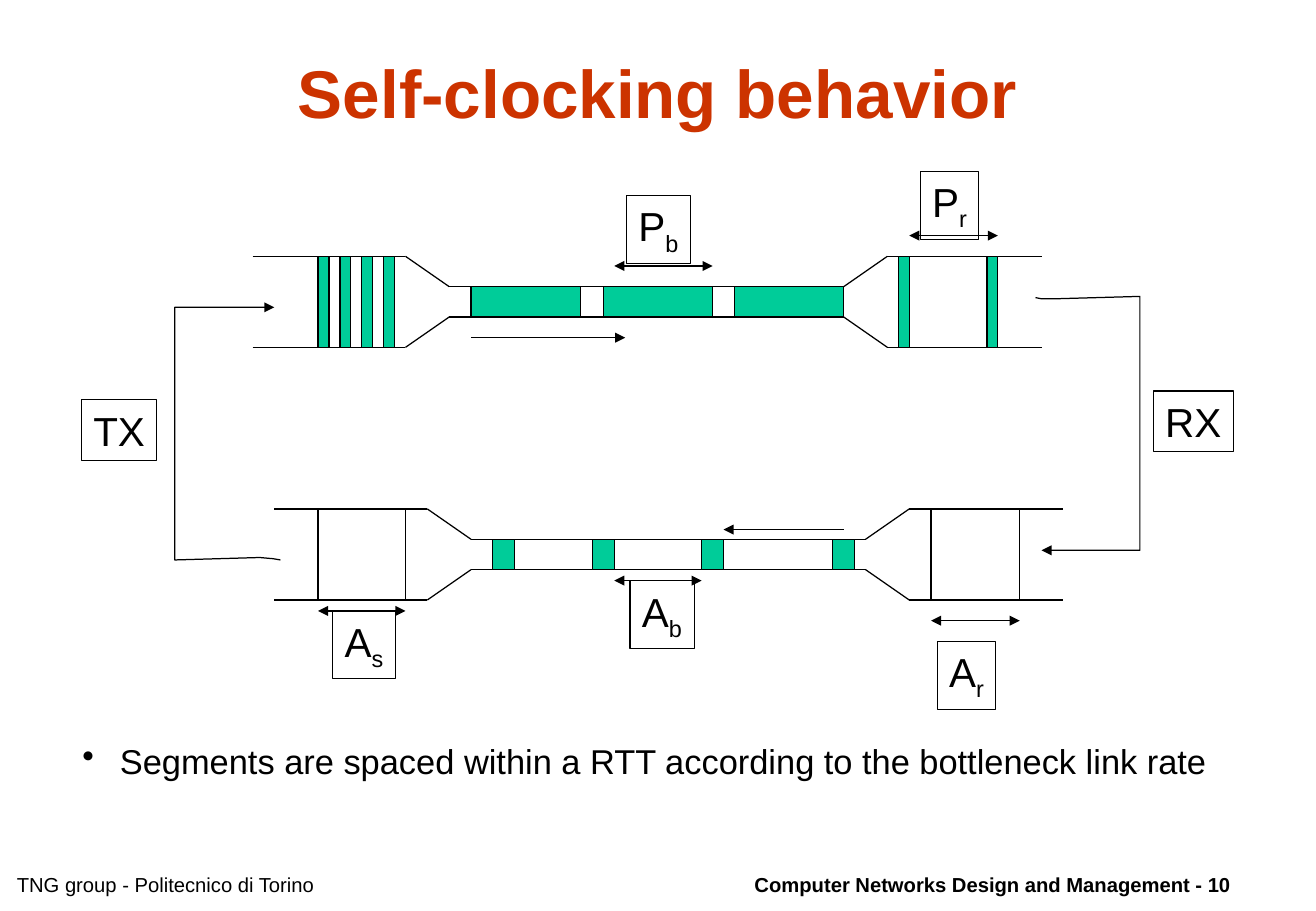
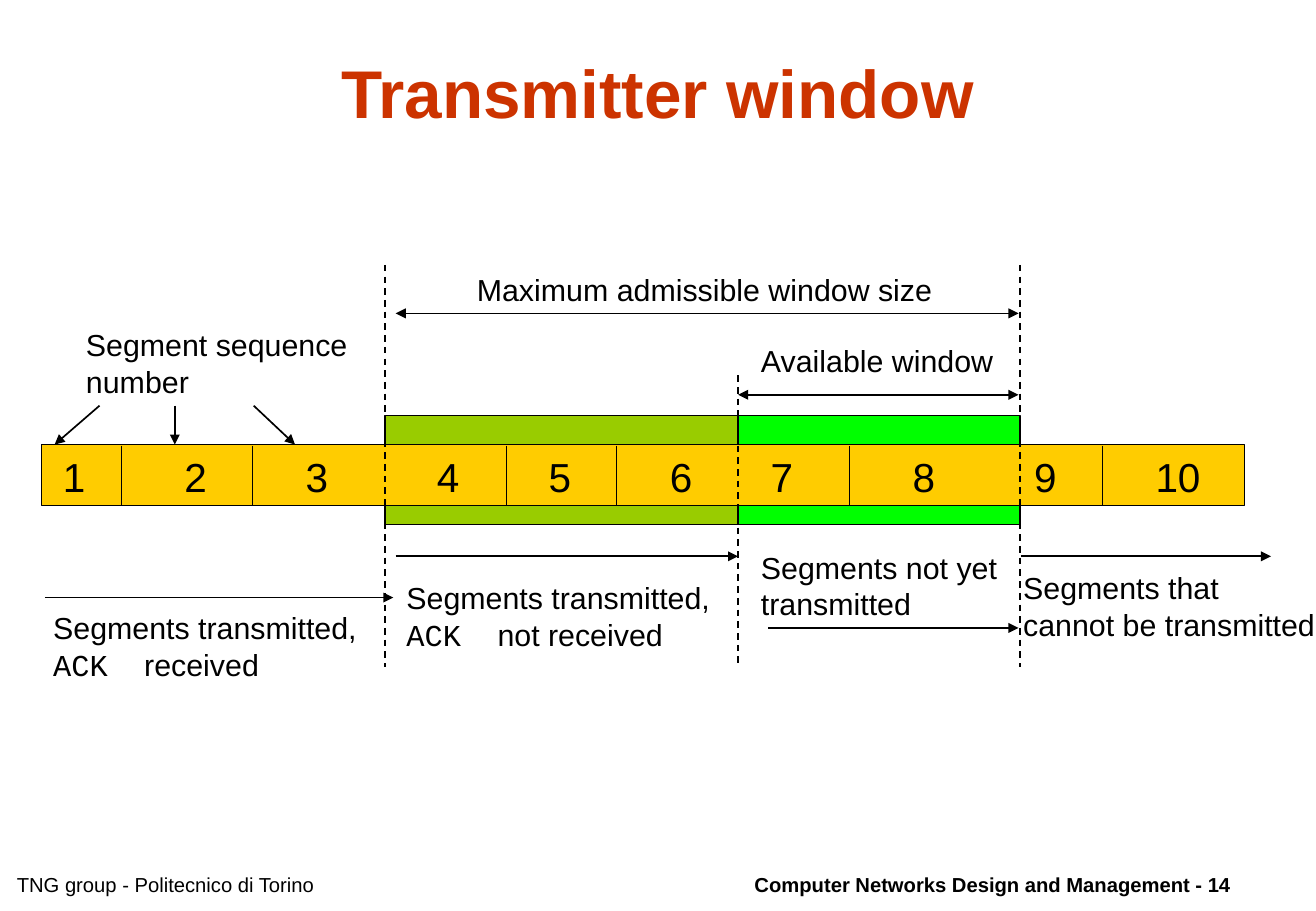
import itertools

import lxml.etree
import pptx
import pptx.dml.color
import pptx.enum.dml
import pptx.enum.shapes
import pptx.enum.text
import pptx.oxml.ns
import pptx.util

PX = 9144  # EMU in one px, 100 px to the inch
WIDE, HIGH = 1084, 750
FONT, MONO = "Arial", "Courier New"
COLOR = {
    "ink": "000000", "title": "CC3300", "packet": "00CC99",
    "free": "00FF00", "sent": "99CC00", "strip": "FFCC00",
}
ALIGN = pptx.enum.text.PP_ALIGN
THIN, BOLD = 0.75, 1

TITLE_BOX = (81, 25, 921, 100)
GROUP = "TNG group - Politecnico di Torino"
COURSE = "Computer Networks Design and Management - "

# Self-clocking behavior
PIPES = [(208, 211), (226, 419)]
WALL = [(0, 0), (126, 0), (162, 25), (487, 25), (523, 0), (650, 0)]
PIPE_H = 75
PACKETS = [  # lefts, top, width, height
    ([262, 280, 298, 316, 740, 813], 211, 9, 75),
    ([388, 497, 605], 236, 90, 25),
    ([406, 488, 578, 686], 444, 18, 25),
]
ACKS = [262, 334, 767, 840]
SPANS = [
    (749, 194, 822, 194), (506, 219, 587, 219), (767, 511, 840, 511),
    (506, 478, 578, 478), (262, 503, 334, 503),
]
FLOWS = [(388, 278, 515, 278), (695, 436, 596, 436)]
LOOPS = [
    [(853, 245), (858, 246), (869, 246), (939, 244), (939, 453), (858, 453)],
    [(231, 461), (225, 460), (214, 459), (144, 461), (144, 253), (226, 253)],
]
LABELS = [  # text, subscript, box
    ("P", "r", (758, 141, 48, 56)), ("P", "b", (516, 161, 53, 56)),
    ("A", "r", (772, 528, 48, 56)), ("A", "b", (519, 478, 53, 56)),
    ("A", "s", (274, 503, 52, 56)),
    ("RX", "", (950, 322, 66, 50)), ("TX", "", (67, 329, 62, 50)),
]
POINT = "Segments are spaced within a RTT according to the bottleneck link rate"

# Transmitter window
BANDS = [
    ("free", (605, 342, 235, 90), BOLD), ("sent", (317, 342, 291, 90), BOLD),
    ("strip", (34, 366, 991, 50), THIN),
]
NUMBERS = "\t".join(str(n) for n in range(1, 11))
STOPS = [100, 200, 308, 400, 500, 583, 700, 800, 900]
CELLS = [100, 208, 417, 508, 700, 908]
EDGES = [(317, 218), (608, 309), (840, 218)]
EDGE_END = 549
ARROWS = [
    (37, 492, 324, 492), (326, 458, 608, 458), (633, 517, 839, 517),
    (841, 458, 1047, 458), (82, 334, 45, 366), (144, 334, 144, 366),
    (209, 334, 243, 366),
]
WINDOWS = [(608, 325, 839, 325), (326, 258, 839, 258)]
NOTES = [  # paragraphs of runs, box
    ([["Segment sequence"], ["number"]], (61, 264, 242, 70)),
    ([["Segments transmitted,"], [("ACK", MONO), "\treceived"]],
     (34, 497, 277, 70)),
    ([["Segments transmitted,"], [("ACK", MONO), "\tnot received"]],
     (325, 472, 277, 70)),
    ([["Segments not yet"], ["transmitted"]], (617, 447, 221, 70)),
    ([["Segments that"], ["cannot be transmitted"]], (833, 464, 251, 70)),
    ([["Maximum admissible window size"]], (383, 218, 395, 40)),
    ([["Available window"]], (617, 277, 212, 40)),
]
NOTE_STOP = 75


def emu(vals):
    return [v * PX for v in vals]


def rgb(name):
    return pptx.dml.color.RGBColor.from_string(COLOR[name])


def sub(node, tag, **attrs):
    return lxml.etree.SubElement(node, pptx.oxml.ns.qn(tag), **attrs)


def ink(line, width):
    line.color.rgb = rgb("ink")
    line.width = pptx.util.Pt(width)


def tips(line, both=False):
    """Put an arrowhead at the end, or at both ends."""
    node = line._get_or_add_ln()
    if both:
        sub(node, "a:headEnd", type="triangle")
    sub(node, "a:tailEnd", type="triangle")


def write(para, text, size, font=FONT, color="ink", bold=False):
    run = para.add_run()
    run.text = text
    run.font.size = pptx.util.Pt(size)
    run.font.name = font
    run.font.bold = bold
    run.font.color.rgb = rgb(color)
    return run


def set_tabs(para, stops):
    tabs = sub(para._p.get_or_add_pPr(), "a:tabLst")
    for stop in stops:
        sub(tabs, "a:tab", pos=str(stop * PX), algn="l")


def add_box(slide, box, wrap=False):
    """Add a text box; one that does not wrap has spare room at the right."""
    shape = slide.shapes.add_textbox(*emu(box))
    frame = shape.text_frame
    frame.word_wrap = wrap
    if not wrap:
        frame.margin_right = 0
    return shape, frame.paragraphs[0]


def add_rect(slide, box, color, width=THIN):
    kind = pptx.enum.shapes.MSO_SHAPE.RECTANGLE
    shape = slide.shapes.add_shape(kind, *emu(box))
    shape.shadow.inherit = False
    shape.fill.solid()
    shape.fill.fore_color.rgb = rgb(color)
    ink(shape.line, width)


def add_line(slide, ends, width=THIN):
    kind = pptx.enum.shapes.MSO_CONNECTOR.STRAIGHT
    link = slide.shapes.add_connector(kind, *emu(ends))
    ink(link.line, width)
    sub(link._element.spPr, "a:effectLst")
    return link.line


def add_loop(slide, points):
    pen = slide.shapes.build_freeform(*points[0], scale=PX)
    pen.add_line_segments(points[1:], close=False)
    shape = pen.convert_to_shape()
    shape.shadow.inherit = False
    shape.fill.background()
    ink(shape.line, THIN)
    tips(shape.line)


def add_pipe(slide, left, top):
    upper = [(left + x, top + y) for x, y in WALL]
    lower = [(left + x, top + PIPE_H - y) for x, y in WALL]
    for wall in (upper, lower):
        for a, b in itertools.pairwise(wall):
            add_line(slide, a + b)


def add_page(deck, title, number):
    """Add a slide with the shared title style and footers."""
    slide = deck.slides.add_slide(deck.slide_layouts[5])
    head = slide.shapes.title
    head.left, head.top, head.width, head.height = emu(TITLE_BOX)
    frame = head.text_frame
    frame.vertical_anchor = pptx.enum.text.MSO_ANCHOR.MIDDLE
    para = frame.paragraphs[0]
    para.alignment = ALIGN.CENTER
    write(para, title, 40, color="title", bold=True)
    feet = [(4, GROUP, ALIGN.LEFT, False),
            (577, COURSE + str(number), ALIGN.RIGHT, True)]
    for left, text, align, bold in feet:
        para = add_box(slide, (left, 713, 447, 30), wrap=True)[1]
        para.alignment = align
        write(para, text, 12, bold=bold)
    return slide


def draw_clock(deck):
    slide = add_page(deck, "Self-clocking behavior", 10)
    for spot in PIPES:
        add_pipe(slide, *spot)
    for lefts, top, width, height in PACKETS:
        for left in lefts:
            add_rect(slide, (left, top, width, height), "packet")
    top = PIPES[1][1]
    for x in ACKS:
        add_line(slide, (x, top, x, top + PIPE_H))
    for ends in SPANS:
        tips(add_line(slide, ends), both=True)
    for ends in FLOWS:
        tips(add_line(slide, ends))
    for points in LOOPS:
        add_loop(slide, points)
    for text, low, box in LABELS:
        shape, para = add_box(slide, box)
        ink(shape.line, THIN)
        write(para, text, 24)
        if low:
            run = write(para, low, 24)
            run._r.get_or_add_rPr().set("baseline", "-25000")
    para = add_box(slide, (58, 604, 993, 56), wrap=True)[1]
    para.space_before = pptx.util.Pt(9)
    props = para._p.get_or_add_pPr()
    props.set("marL", str(31 * PX))
    props.set("indent", str(-31 * PX))
    sub(props, "a:buChar", char="•")
    write(para, POINT, 20.4)


def draw_window(deck):
    slide = add_page(deck, "Transmitter window", 14)
    for color, box, width in BANDS:
        add_rect(slide, box, color, width)
    for x in CELLS:
        add_line(slide, (x, 367, x, 416))
    para = add_box(slide, (42, 367, 967, 50))[1]
    set_tabs(para, STOPS)
    write(para, NUMBERS, 24)
    for x, top in EDGES:
        line = add_line(slide, (x, top, x, EDGE_END), BOLD)
        line.dash_style = pptx.enum.dml.MSO_LINE.DASH
    for ends in ARROWS:
        tips(add_line(slide, ends, BOLD))
    for ends in WINDOWS:
        tips(add_line(slide, ends, BOLD), both=True)
    for lines, box in NOTES:
        shape, para = add_box(slide, box)
        for i, runs in enumerate(lines):
            if i:
                para = shape.text_frame.add_paragraph()
            if len(runs) > 1:
                set_tabs(para, [NOTE_STOP])
            for run in runs:
                text, font = (run, FONT) if isinstance(run, str) else run
                write(para, text, 18, font)


def main():
    deck = pptx.Presentation()
    deck.slide_width, deck.slide_height = emu((WIDE, HIGH))
    draw_clock(deck)
    draw_window(deck)
    deck.save("out.pptx")


if __name__ == "__main__":
    main()
